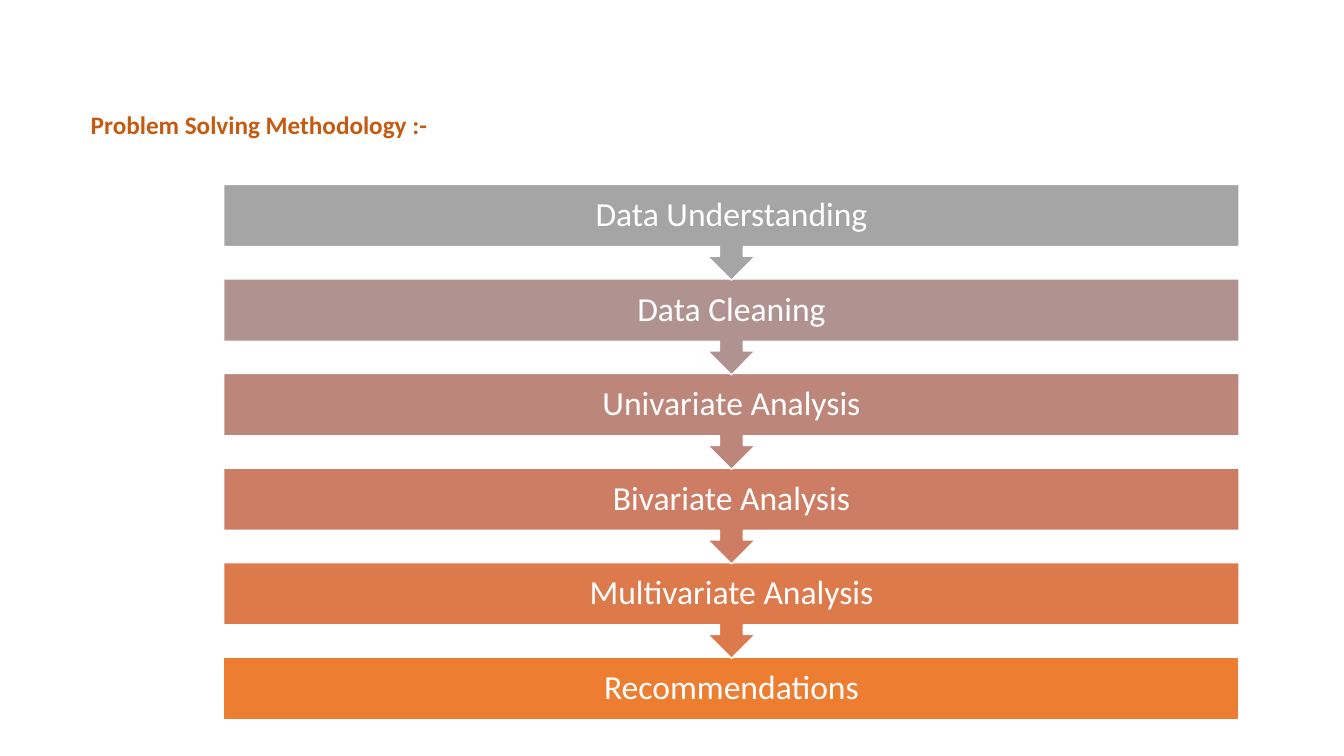
from pptx import Presentation
from pptx import util as u
from pptx.dml.color import RGBColor
from pptx.enum import shapes, text

FONT = "Calibri"
STEPS = [
    ("Data Understanding", "A5A5A5"),
    ("Data Cleaning", "B09391"),
    ("Univariate Analysis", "BD867B"),
    ("Bivariate Analysis", "CC7D64"),
    ("Multivariate Analysis", "DC7A4B"),
    ("Recommendations", "ED7D31"),
]


def color(hex_string):
    return RGBColor.from_string(hex_string)


def add_run(paragraph, wording, size, hex_string, bold=False):
    run = paragraph.add_run()
    run.text = wording
    run.font.name = FONT
    run.font.size = u.Pt(size)
    run.font.bold = bold
    run.font.color.rgb = color(hex_string)


def place_title(slide, left, top, width, height):
    title = slide.shapes.title
    title.left, title.top = u.Inches(left), u.Inches(top)
    title.width, title.height = u.Inches(width), u.Inches(height)
    frame = title.text_frame
    frame.word_wrap = True
    frame.auto_size = text.MSO_AUTO_SIZE.NONE
    frame.vertical_anchor = text.MSO_ANCHOR.TOP
    paragraph = frame.paragraphs[0]
    paragraph.alignment = text.PP_ALIGN.LEFT
    add_run(paragraph, "Problem Solving Methodology :-", 18, "C55A11", bold=True)


def add_step(slide, kind, wording, fill, left, top, width, height):
    step = slide.shapes.add_shape(
        kind, u.Inches(left), u.Inches(top), u.Inches(width), u.Inches(height))
    step.shadow.inherit = False
    step.fill.solid()
    step.fill.fore_color.rgb = color(fill)
    step.line.color.rgb = color("FFFFFF")
    step.line.width = u.Pt(1)
    frame = step.text_frame
    frame.word_wrap = True
    frame.vertical_anchor = text.MSO_ANCHOR.MIDDLE
    frame.margin_left = frame.margin_right = u.Inches(0.19)
    frame.margin_top = frame.margin_bottom = 0
    paragraph = frame.paragraphs[0]
    paragraph.alignment = text.PP_ALIGN.CENTER
    paragraph.line_spacing = 0.9
    add_run(paragraph, wording, 24, "FFFFFF")


def add_process(slide, left, top, width, height):
    """Stack the steps from the bottom up, so each arrow overlaps the next bar."""
    bar_height, callout_height = 0.62, 0.95
    last = len(STEPS) - 1
    pitch = (height - bar_height) / last
    for index, (wording, fill) in reversed(list(enumerate(STEPS))):
        if index == last:
            kind, step_height = shapes.MSO_SHAPE.RECTANGLE, bar_height
        else:
            kind, step_height = shapes.MSO_SHAPE.DOWN_ARROW_CALLOUT, callout_height
        add_step(slide, kind, wording, fill,
                 left, top + index * pitch, width, step_height)


def main():
    presentation = Presentation()
    presentation.slide_width = u.Inches(13.33)
    presentation.slide_height = u.Inches(7.5)
    slide = presentation.slides.add_slide(presentation.slide_layouts[5])
    add_process(slide, 2.22, 1.83, 10.07, 5.31)
    place_title(slide, 0.8, 1.03, 8.15, 0.4)
    presentation.save("out.pptx")


if __name__ == "__main__":
    main()
